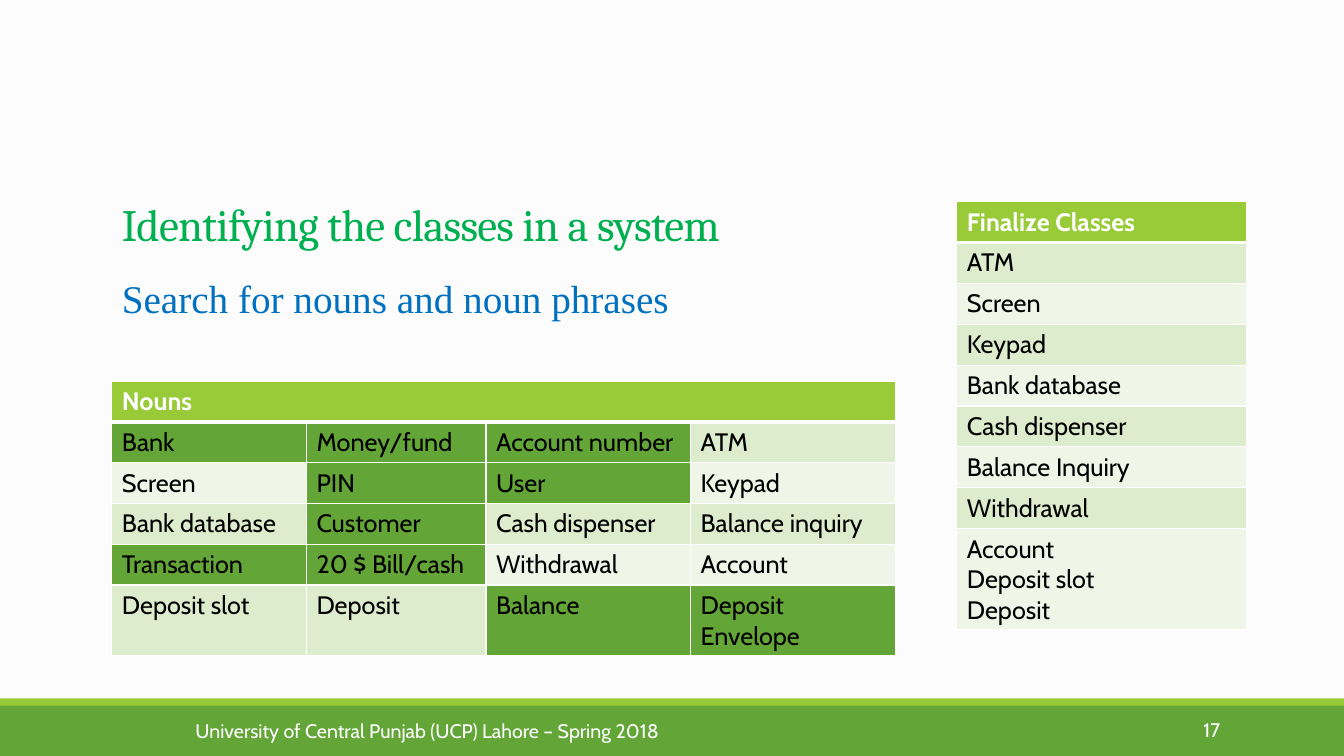
from dataclasses import dataclass

from lxml import etree
from pptx import Presentation
from pptx.dml.color import RGBColor
from pptx.enum.shapes import MSO_SHAPE
from pptx.enum.text import MSO_ANCHOR, PP_ALIGN
from pptx.oxml.ns import qn
from pptx.slide import Slide
from pptx.table import _Cell
from pptx.text.text import _Paragraph
from pptx.util import Inches, Pt

RECTANGLE = MSO_SHAPE.RECTANGLE
TOP, MIDDLE, BOTTOM = MSO_ANCHOR.TOP, MSO_ANCHOR.MIDDLE, MSO_ANCHOR.BOTTOM
LEFT, RIGHT = PP_ALIGN.LEFT, PP_ALIGN.RIGHT


@dataclass(frozen=True)
class Theme:
    background: str = "FCFCFC"
    white: str = "FFFFFF"
    black: str = "000000"
    green: str = "63A537"
    lime: str = "99CB38"
    bands: tuple[str, str] = ("DEECCE", "EFF6E8")
    title: str = "00B050"
    subtitle: str = "0070C0"
    body_font: str = "Cabin"
    title_font: str = "Cambria"
    subtitle_font: str = "Times New Roman"
    title_size: int = 32
    subtitle_size: int = 28
    table_size: int = 18
    footer_size: int = 14
    border: int = 1
    header_border: int = 3


THEME = Theme()


@dataclass(frozen=True)
class Box:
    left: float
    top: float
    width: float
    height: float

    def lengths(self) -> tuple[int, int, int, int]:
        return (Inches(self.left), Inches(self.top),
                Inches(self.width), Inches(self.height))


@dataclass(frozen=True)
class Bar:
    box: Box
    color: str


@dataclass(frozen=True)
class Label:
    text: str
    box: Box
    font: str
    size: int
    color: str
    anchor: MSO_ANCHOR = MIDDLE
    alignment: PP_ALIGN = LEFT
    spacing: int = 0


@dataclass(frozen=True)
class Grid:
    header: str
    box: Box
    column_widths: list[float]
    rows: list[list[str]]
    rejected: frozenset[str] = frozenset()


BARS = [
    Bar(Box(0, 6.99, 13.33, 0.51), THEME.green),
    Bar(Box(0, 6.93, 13.33, 0.07), THEME.lime),
]

LABELS = [
    Label("University of Central Punjab (UCP) Lahore – Spring 2018",
          Box(1.84, 7.05, 5.27, 0.4), THEME.body_font, THEME.footer_size, THEME.white),
    Label("17", Box(11.76, 7.04, 0.44, 0.4), THEME.body_font, THEME.footer_size,
          THEME.white, alignment=RIGHT),
    Label("Identifying the classes in a system", Box(1.11, 1.92, 6.42, 0.61),
          THEME.title_font, THEME.title_size, THEME.title, BOTTOM, spacing=-50),
    Label("Search for nouns and noun phrases", Box(1.11, 2.67, 5.63, 1.04),
          THEME.subtitle_font, THEME.subtitle_size, THEME.subtitle, TOP),
]

GRIDS = [
    Grid("Nouns", Box(1.11, 3.78, 7.77, 2.43), [1.93, 1.78, 2.03, 2.03], [
        ["Bank", "Money/fund", "Account number", "ATM"],
        ["Screen", "PIN", "User", "Keypad"],
        ["Bank database", "Customer", "Cash dispenser", "Balance inquiry"],
        ["Transaction", "20 $ Bill/cash", "Withdrawal", "Account"],
        ["Deposit slot", "Deposit", "Balance", "Deposit Envelope"],
    ], frozenset({"Bank", "Money/fund", "Account number", "PIN", "User", "Customer",
                  "Transaction", "20 $ Bill/cash", "Balance", "Deposit Envelope"})),
    Grid("Finalize Classes", Box(9.49, 2, 2.87, 3.65), [2.87], [
        ["ATM"], ["Screen"], ["Keypad"], ["Bank database"], ["Cash dispenser"],
        ["Balance Inquiry"], ["Withdrawal"], ["Account\nDeposit slot\nDeposit"],
    ]),
]


def format_runs(paragraph: _Paragraph, font: str, size: int, color: str,
                bold: bool = False) -> None:
    for run in paragraph.runs:
        run.font.name = font
        run.font.size = Pt(size)
        run.font.bold = bold
        run.font.color.rgb = RGBColor.from_string(color)


def add_bar(slide: Slide, bar: Bar) -> None:
    shape = slide.shapes.add_shape(RECTANGLE, *bar.box.lengths())
    shape.shadow.inherit = False
    shape.fill.solid()
    shape.fill.fore_color.rgb = RGBColor.from_string(bar.color)
    shape.line.fill.background()


def add_label(slide: Slide, label: Label) -> None:
    text_frame = slide.shapes.add_textbox(*label.box.lengths()).text_frame
    text_frame.word_wrap = True
    text_frame.vertical_anchor = label.anchor
    text_frame.text = label.text
    paragraph = text_frame.paragraphs[0]
    paragraph.alignment = label.alignment
    format_runs(paragraph, label.font, label.size, label.color)
    if label.spacing:
        paragraph.runs[0].font._element.set("spc", str(label.spacing))


def set_borders(cell: _Cell, bottom_width: int, top_width: int) -> None:
    """Draw the four white edges, which must come before the fill in the XML."""
    properties = cell._tc.get_or_add_tcPr()
    widths = {"a:lnL": THEME.border, "a:lnR": THEME.border,
              "a:lnT": top_width, "a:lnB": bottom_width}
    for position, (tag, width) in enumerate(widths.items()):
        line = etree.Element(qn(tag), w=str(Pt(width)))
        fill = etree.SubElement(line, qn("a:solidFill"))
        etree.SubElement(fill, qn("a:srgbClr"), val=THEME.white)
        properties.insert(position, line)


def fill_cell(cell: _Cell, text: str, fill: str, row: int) -> None:
    is_header = row == 0
    cell.fill.solid()
    cell.fill.fore_color.rgb = RGBColor.from_string(fill)
    set_borders(cell, THEME.header_border if is_header else THEME.border,
                THEME.header_border if row == 1 else THEME.border)
    cell.text_frame.text = text
    for paragraph in cell.text_frame.paragraphs:
        format_runs(paragraph, THEME.body_font, THEME.table_size,
                    THEME.white if is_header else THEME.black, is_header)


def add_grid(slide: Slide, grid: Grid) -> None:
    column_count = len(grid.column_widths)
    table = slide.shapes.add_table(len(grid.rows) + 1, column_count,
                                   *grid.box.lengths()).table
    for column, width in zip(table.columns, grid.column_widths):
        column.width = Inches(width)
    header = [grid.header] + [""] * (column_count - 1)
    for row, texts in enumerate([header, *grid.rows]):
        for column, text in enumerate(texts):
            if row == 0:
                fill = THEME.lime
            elif text in grid.rejected:
                fill = THEME.green
            else:
                fill = THEME.bands[(row - 1) % 2]
            fill_cell(table.cell(row, column), text, fill, row)
    if column_count > 1:
        table.cell(0, 0).merge(table.cell(0, column_count - 1))


def main() -> None:
    presentation = Presentation()
    presentation.slide_width = Inches(13.33)
    presentation.slide_height = Inches(7.5)
    slide = presentation.slides.add_slide(presentation.slide_layouts[6])
    slide.background.fill.solid()
    slide.background.fill.fore_color.rgb = RGBColor.from_string(THEME.background)
    for bar in BARS:
        add_bar(slide, bar)
    for label in LABELS:
        add_label(slide, label)
    for grid in GRIDS:
        add_grid(slide, grid)
    presentation.save("out.pptx")


if __name__ == "__main__":
    main()
